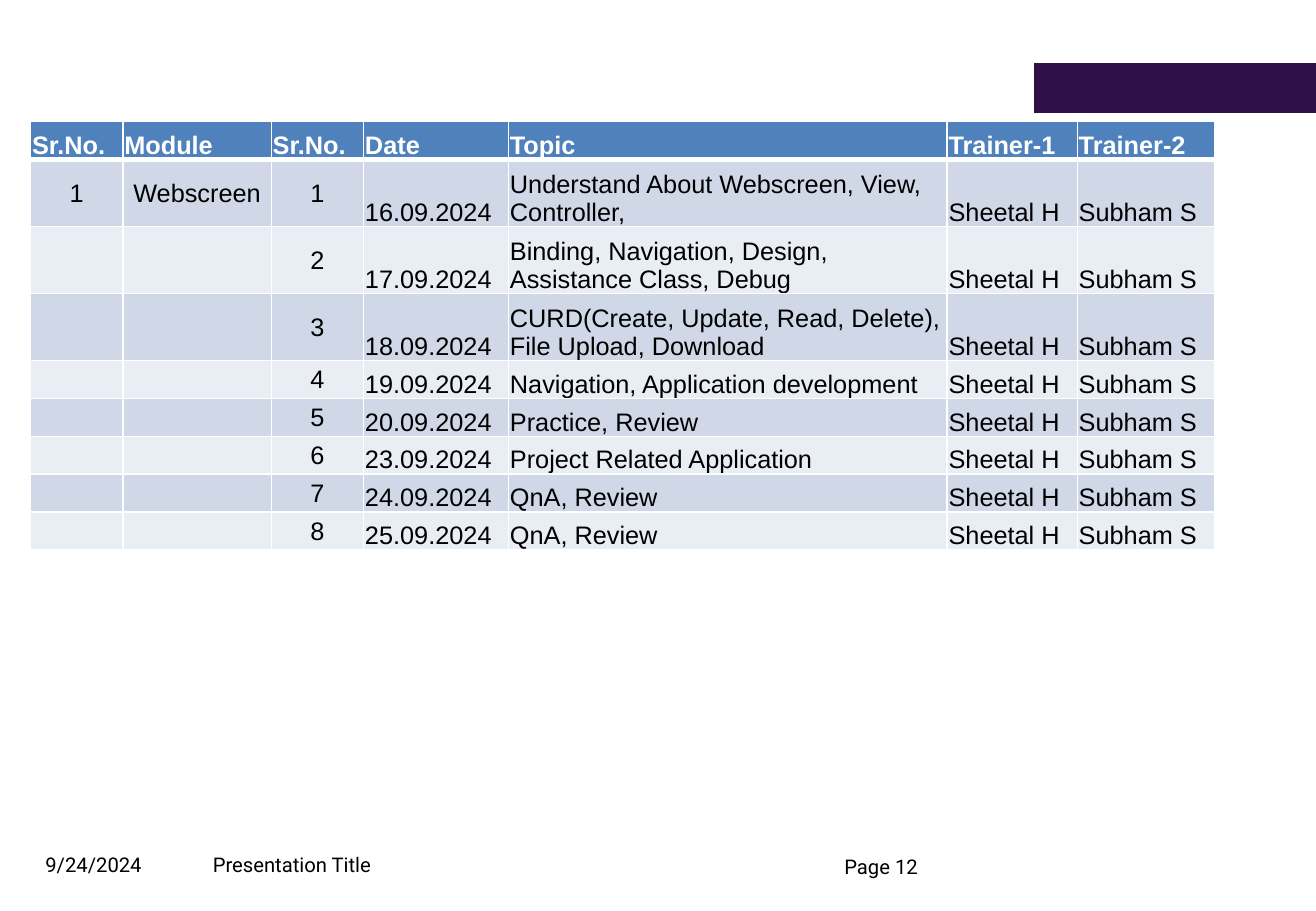
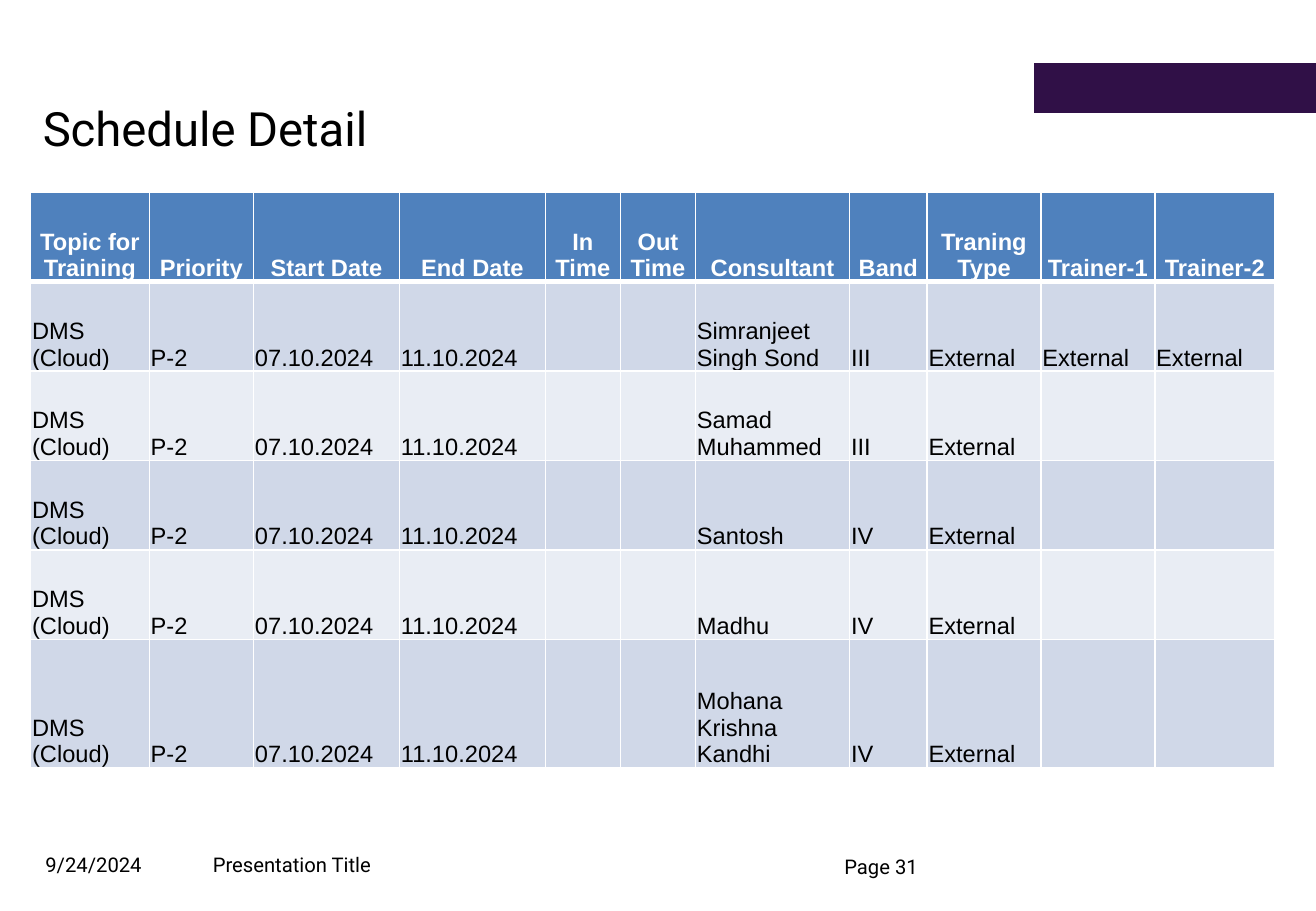
from lxml import etree
from pptx import Presentation
from pptx.dml.color import RGBColor
from pptx.enum.shapes import MSO_SHAPE
from pptx.enum.text import MSO_ANCHOR, PP_ALIGN
from pptx.oxml.ns import qn
from pptx.util import Cm, Pt

RECTANGLE = MSO_SHAPE.RECTANGLE
TOP, MIDDLE, BOTTOM = MSO_ANCHOR.TOP, MSO_ANCHOR.MIDDLE, MSO_ANCHOR.BOTTOM
LEFT, CENTER = PP_ALIGN.LEFT, PP_ALIGN.CENTER

BLACK = RGBColor(0x00, 0x00, 0x00)
WHITE = RGBColor(0xFF, 0xFF, 0xFF)
PURPLE = RGBColor(0x30, 0x10, 0x47)
HEADER_BLUE = RGBColor(0x4F, 0x81, 0xBD)
BAND_DARK = RGBColor(0xD0, 0xD8, 0xE8)
BAND_LIGHT = RGBColor(0xE9, 0xED, 0xF4)

BRAND_FONT = "Roboto"
TABLE_FONT = "Arial"
MARGIN = Cm(0.64)
TITLE_ONLY_LAYOUT, BLANK_LAYOUT = 5, 6

SESSION_HEADER = ["Sr.No.", "Module", "Sr.No.", "Date", "Topic", "Trainer-1", "Trainer-2"]
SESSIONS = [
    ("16.09.2024", "Understand About Webscreen, View, Controller,"),
    ("17.09.2024", "Binding, Navigation, Design, Assistance Class, Debug"),
    ("18.09.2024", "CURD(Create, Update, Read, Delete), File Upload, Download"),
    ("19.09.2024", "Navigation, Application development"),
    ("20.09.2024", "Practice, Review"),
    ("23.09.2024", "Project Related Application"),
    ("24.09.2024", "QnA, Review"),
    ("25.09.2024", "QnA, Review"),
]
SESSION_WIDTHS = [1.93, 3.1, 1.93, 3.03, 9.17, 2.72, 2.87]
SESSION_HEIGHTS = [0.8] + [1.4] * 3 + [0.79] * 5
SESSION_CENTERED = {0, 1, 2}

SCHEDULE_HEADER = ["Topic for Training", "Priority", "Start Date", "End Date", "In Time",
                   "Out Time", "Consultant", "Band", "Traning Type", "Trainer-1", "Trainer-2"]
CONSULTANTS = [
    ("Simranjeet Singh Sond", "III", "External"),
    ("Samad Muhammed", "III", ""),
    ("Santosh", "IV", ""),
    ("Madhu", "IV", ""),
    ("Mohana Krishna Kandhi", "IV", ""),
]
SCHEDULE_WIDTHS = [2.48, 2.18, 3.05, 3.05, 1.57, 1.57, 3.22, 1.62, 2.38, 2.38, 2.51]
SCHEDULE_HEIGHTS = [1.87] * 5 + [2.69]


def format_font(font, name, size, color, bold=False):
    font.name = name
    font.size = Pt(size)
    font.color.rgb = color
    font.bold = bold


def add_footer_text(slide, text, left, top, width, height, anchor):
    box = slide.shapes.add_textbox(Cm(left), Cm(top), Cm(width), Cm(height))
    frame = box.text_frame
    frame.word_wrap = True
    frame.vertical_anchor = anchor
    frame.margin_left = frame.margin_right = frame.margin_top = frame.margin_bottom = 0
    frame.text = text
    paragraph = frame.paragraphs[0]
    paragraph.line_spacing = 0.9
    format_font(paragraph.runs[0].font, BRAND_FONT, 12, BLACK)


def add_slide(presentation, layout_index, page_number):
    slide = presentation.slides.add_slide(presentation.slide_layouts[layout_index])
    add_footer_text(slide, "9/24/2024", 0.95, 17.55, 4.01, 0.79, BOTTOM)
    add_footer_text(slide, f"Page {page_number}", 17.65, 17.93, 3.53, 0.43, TOP)
    add_footer_text(slide, "Presentation Title", 4.45, 17.55, 4.95, 0.79, BOTTOM)
    band = slide.shapes.add_shape(RECTANGLE, Cm(21.62), Cm(1.32), Cm(5.89), Cm(1.04))
    band.shadow.inherit = False
    band.fill.solid()
    band.fill.fore_color.rgb = PURPLE
    band.line.fill.background()
    return slide


def set_title(slide, text):
    title = slide.shapes.title
    title.left, title.top, title.width, title.height = MARGIN, Cm(1.91), Cm(24.77), Cm(1.52)
    title.text_frame.text = text
    title.text_frame.vertical_anchor = MIDDLE
    paragraph = title.text_frame.paragraphs[0]
    paragraph.alignment = LEFT
    format_font(paragraph.runs[0].font, BRAND_FONT, 28, BLACK)


def set_borders(cell, top_width, bottom_width):
    properties = cell._tc.get_or_add_tcPr()
    widths = {"a:lnL": 1, "a:lnR": 1, "a:lnT": top_width, "a:lnB": bottom_width}
    for index, (tag, width) in enumerate(widths.items()):
        line = etree.Element(qn(tag), w=str(Pt(width)))
        fill = etree.SubElement(line, qn("a:solidFill"))
        etree.SubElement(fill, qn("a:srgbClr"), val=str(WHITE))
        properties.insert(index, line)


def fill_cell(cell, text, size, row_index, centered, anchor):
    is_header = row_index == 0
    cell.margin_left = cell.margin_right = cell.margin_top = Cm(0.03)
    cell.margin_bottom = 0
    cell.vertical_anchor = anchor
    cell.fill.solid()
    if is_header:
        cell.fill.fore_color.rgb = HEADER_BLUE
    else:
        cell.fill.fore_color.rgb = BAND_DARK if row_index % 2 else BAND_LIGHT
    set_borders(cell, 3 if row_index == 1 else 1, 3 if is_header else 1)
    paragraph = cell.text_frame.paragraphs[0]
    paragraph.alignment = CENTER if centered else LEFT
    run = paragraph.add_run()
    run.text = text
    format_font(run.font, TABLE_FONT, size, WHITE if is_header else BLACK, is_header)


def add_table(slide, rows, top, widths, heights, size, header_centered, centered_columns=()):
    frame = slide.shapes.add_table(len(rows), len(widths), MARGIN, Cm(top),
                                   Cm(sum(widths)), Cm(sum(heights)))
    table = frame.table
    for column, width in zip(table.columns, widths):
        column.width = Cm(width)
    for row_index, (values, height) in enumerate(zip(rows, heights)):
        table.rows[row_index].height = Cm(height)
        for column_index, text in enumerate(values):
            body_centered = row_index > 0 and column_index in centered_columns
            centered = body_centered or (row_index == 0 and header_centered)
            fill_cell(table.cell(row_index, column_index), text, size, row_index,
                      centered, MIDDLE if body_centered else BOTTOM)


def session_rows():
    rows = [SESSION_HEADER]
    for number, (date, topic) in enumerate(SESSIONS, start=1):
        module = ["1", "Webscreen"] if number == 1 else ["", ""]
        rows.append(module + [str(number), date, topic, "Sheetal H", "Subham S"])
    return rows


def schedule_rows():
    return [SCHEDULE_HEADER] + [
        ["DMS (Cloud)", "P-2", "07.10.2024", "11.10.2024", "", "",
         consultant, band, "External", trainer, trainer]
        for consultant, band, trainer in CONSULTANTS
    ]


def main():
    presentation = Presentation()
    presentation.slide_width, presentation.slide_height = Cm(27.51), Cm(19.05)

    sessions = add_slide(presentation, BLANK_LAYOUT, 12)
    add_table(sessions, session_rows(), 2.54, SESSION_WIDTHS, SESSION_HEIGHTS, 15,
              False, SESSION_CENTERED)

    schedule = add_slide(presentation, TITLE_ONLY_LAYOUT, 31)
    set_title(schedule, "Schedule Detail")
    add_table(schedule, schedule_rows(), 4.02, SCHEDULE_WIDTHS, SCHEDULE_HEIGHTS, 14, True)

    presentation.save("out.pptx")


if __name__ == "__main__":
    main()
